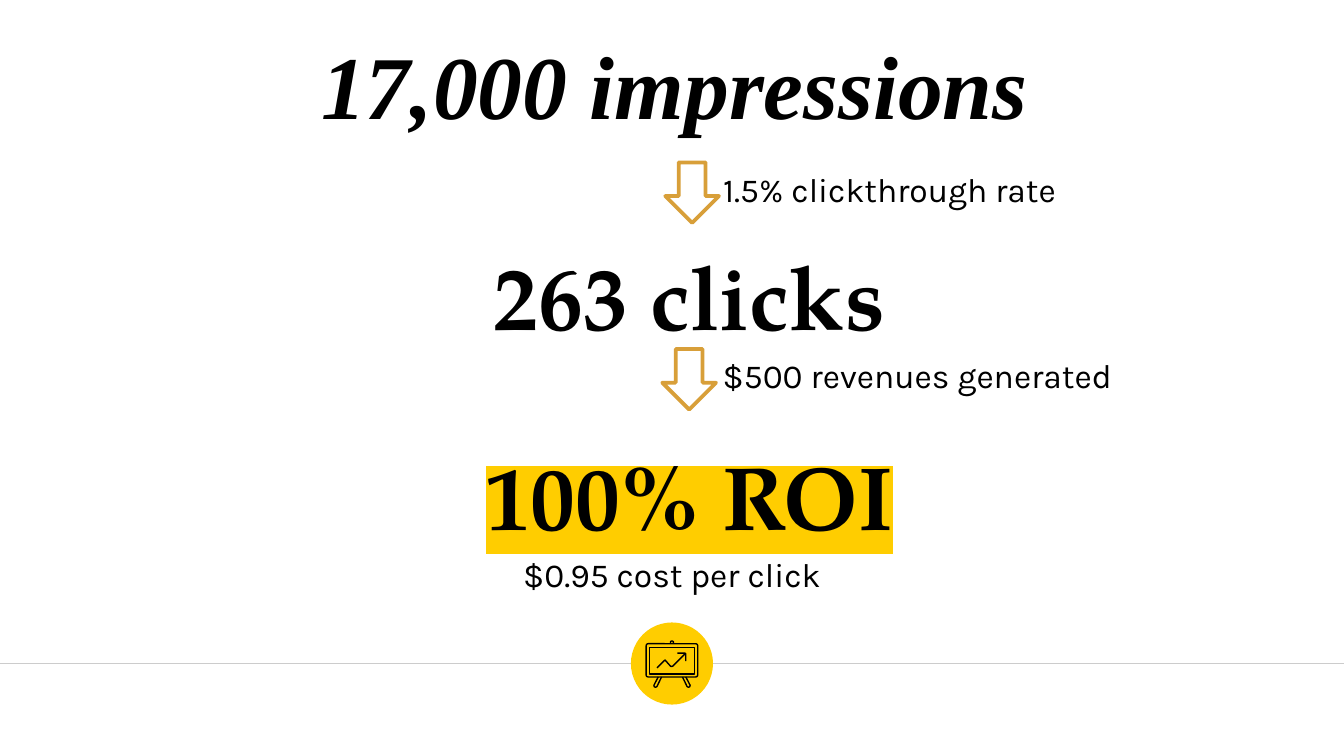
from pptx import Presentation
from pptx.dml.color import RGBColor
from pptx.enum.shapes import MSO_CONNECTOR as Connector, MSO_SHAPE as Shape
from pptx.enum.text import MSO_ANCHOR as Anchor, MSO_AUTO_SIZE as AutoSize, PP_ALIGN as Align
from pptx.oxml.ns import qn
from pptx.util import Pt
from lxml.etree import SubElement

BLACK, WHITE, YELLOW, OCHRE, GRAY = "000000", "FFFFFF", "FFCD00", "D89F39", "CCCCCC"
SERIF, SANS = "TeX Gyre Pagella", "Karla"
CENTER_X = 360


def color(hex_string):
    return RGBColor.from_string(hex_string)


class FunnelSlide:
    headline_size = 48
    caption_size = 18
    inset = 7.2

    def __init__(self, slide):
        self.slide = slide
        self.shapes = slide.shapes

    def text(self, words, left, top, width, height, size, font,
             holder=None, anchor=Anchor.TOP, bold=False, italic=False, highlight=None):
        box = holder or self.shapes.add_textbox(0, 0, 0, 0)
        box.left, box.top, box.width, box.height = map(Pt, (left, top, width, height))
        frame = box.text_frame
        frame.word_wrap = True
        frame.auto_size = AutoSize.NONE
        frame.vertical_anchor = anchor
        frame.margin_left = frame.margin_right = Pt(self.inset)
        frame.margin_top = frame.margin_bottom = Pt(self.inset)
        paragraph = frame.paragraphs[0]
        paragraph.alignment = Align.CENTER
        paragraph.space_before = Pt(0)
        paragraph.font.size = Pt(size)
        paragraph.font.name = font
        paragraph.font.bold = bold
        paragraph.font.italic = italic
        paragraph.font.color.rgb = color(BLACK)
        run = paragraph.add_run()
        run.text = words
        if highlight:
            mark = SubElement(run.font._element, qn("a:highlight"))
            SubElement(mark, qn("a:srgbClr"), val=highlight)

    def headline(self, words, left, top, font=SERIF, **options):
        self.text(words, left, top, 612, 70.6, self.headline_size, font,
                  anchor=Anchor.BOTTOM, bold=True, **options)

    def caption(self, words, left, top, width=612, **options):
        self.text(words, left, top, width, 36.7, self.caption_size, SANS, **options)

    def paint(self, shape, fill=None, line=None, weight=0.75):
        shape.shadow.inherit = False
        if fill:
            shape.fill.solid()
            shape.fill.fore_color.rgb = color(fill)
        else:
            shape.fill.background()
        if line:
            shape.line.color.rgb = color(line)
            shape.line.width = Pt(weight)
        else:
            shape.line.fill.background()

    def preset(self, kind, left, top, width, height, **style):
        shape = self.shapes.add_shape(kind, *map(Pt, (left, top, width, height)))
        self.paint(shape, **style)
        return shape

    def down_arrow(self, left, top):
        self.preset(Shape.DOWN_ARROW, left, top, 28.8, 32.4, fill=WHITE, line=OCHRE, weight=2)

    def rule(self, y):
        rule = self.shapes.add_connector(Connector.STRAIGHT, Pt(0), Pt(y), Pt(720), Pt(y))
        rule.line.color.rgb = color(GRAY)
        rule.line.width = Pt(0.75)
        SubElement(rule._element.spPr, qn("a:effectLst"))

    def stroke(self, points):
        start, *rest = [(Pt(x), Pt(y)) for x, y in points]
        builder = self.shapes.build_freeform(*start)
        builder.add_line_segments(rest, close=False)
        self.paint(builder.convert_to_shape(), line=BLACK)

    def easel(self):
        board = self.preset(Shape.ROUNDED_RECTANGLE, CENTER_X - 13.8, 344.9, 27.6, 17.8, line=BLACK)
        board.adjustments[0] = 0.06
        self.preset(Shape.RECTANGLE, CENTER_X - 12.2, 346.8, 24.4, 14.4, line=BLACK)
        self.stroke([(CENTER_X + x, y) for x, y in
                     [(-0.8, 344.9), (-0.8, 343.9), (-0.3, 343.4),
                      (0.3, 343.4), (0.8, 343.9), (0.8, 344.9)]])
        for side in (-1, 1):
            self.stroke([(CENTER_X + side * x, y) for x, y in
                         [(7.4, 362.7), (9.7, 367.2), (9.5, 368), (8.7, 368.2),
                          (8.1, 367.9), (5.6, 362.7)]])
        self.stroke([(352, 357.8), (356.3, 353.6), (359.3, 357), (360.3, 357), (367.2, 350.1)])
        self.stroke([(362.9, 349.9), (366.9, 349.9), (367.4, 350.4), (367.4, 354.2)])


def main():
    deck = Presentation()
    deck.slide_width, deck.slide_height = Pt(720), Pt(405)
    slide = deck.slides.add_slide(deck.slide_layouts[0])
    funnel = FunnelSlide(slide)

    funnel.rule(355.5)
    funnel.preset(Shape.OVAL, CENTER_X - 22, 333.5, 44, 44, fill=YELLOW)
    funnel.easel()

    funnel.headline("17,000 impressions", 55.4, 10.1, font="Times New Roman",
                    holder=slide.shapes.title, italic=True)
    funnel.down_arrow(356.4, 87)
    funnel.caption("1.5% clickthrough rate", 170.6, 83.5)

    funnel.headline("263 clicks", 63.4, 123.1)
    funnel.down_arrow(354.8, 187)
    funnel.caption("$500 revenues generated", 370.8, 183.1, width=241.2)

    funnel.headline("100% ROI", 63.4, 230.4, highlight=YELLOW)
    funnel.caption("$0.95 cost per click", 54, 289.4, holder=slide.placeholders[1])

    deck.save("out.pptx")


if __name__ == "__main__":
    main()
